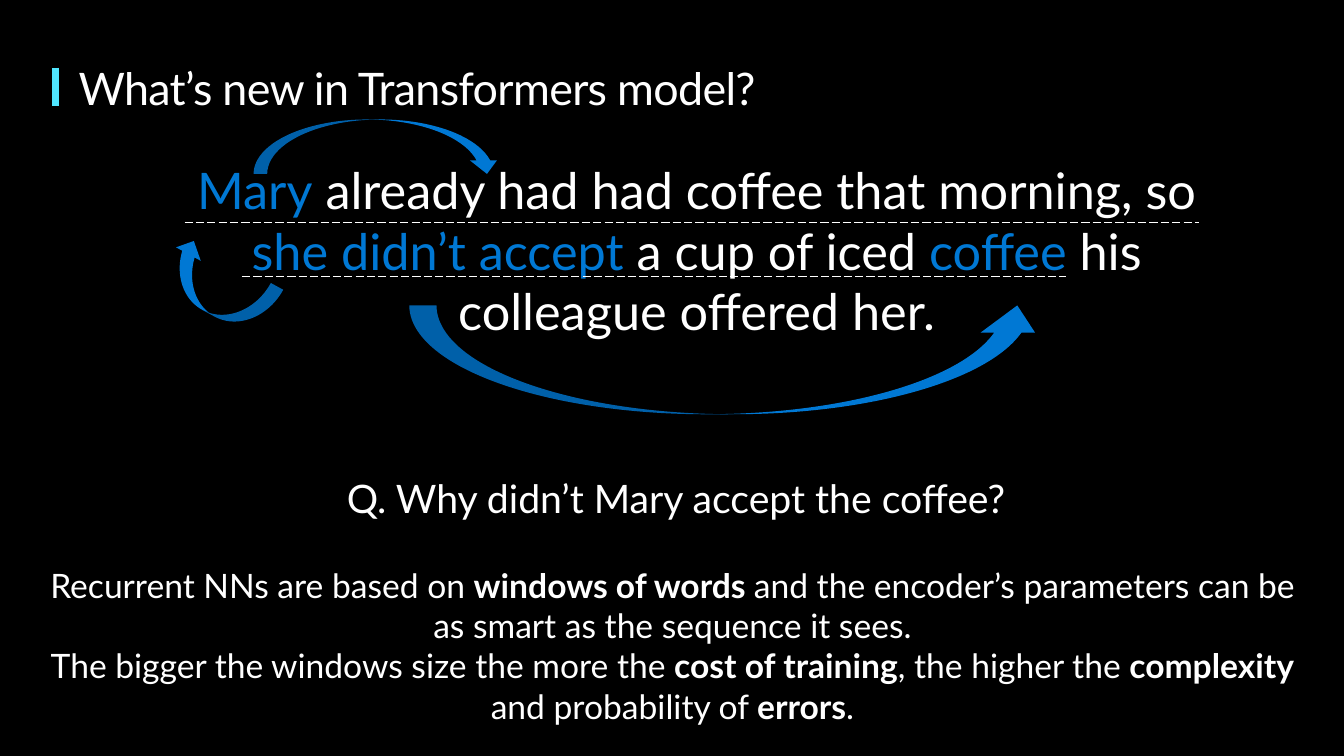
"""Build the slide on what is new in the Transformers model."""
from dataclasses import dataclass

from lxml import etree
from pptx import Presentation
from pptx.dml.color import RGBColor
from pptx.enum import dml, shapes, text
from pptx.oxml import ns
from pptx.util import Inches, Pt


@dataclass(frozen=True)
class Theme:
    """Hold the colours, font and type sizes."""
    font: str = "Lato"
    black: RGBColor = RGBColor(0, 0, 0)
    white: RGBColor = RGBColor(255, 255, 255)
    blue: RGBColor = RGBColor(0, 0x78, 0xD4)
    cyan: RGBColor = RGBColor(0x50, 0xE6, 0xFF)
    title: int = 32
    sentence: int = 36
    question: int = 28
    body: int = 24


THEME = Theme()


def place(item, left, top, width, height):
    """Set the position and size of a shape in inches."""
    item.left, item.top = Inches(left), Inches(top)
    item.width, item.height = Inches(width), Inches(height)


def add_span(para, words, *, size, color=THEME.white, bold=False, spacing=None):
    """Append a formatted run to a paragraph."""
    span = para.add_run()
    span.text = words
    span.font.name = THEME.font
    span.font.size = Pt(size)
    span.font.bold = bold
    span.font.color.rgb = color
    if spacing is not None:
        span.font._element.set("spc", str(round(spacing * 100)))


def fill_text(box, paragraphs, *, size, align=text.PP_ALIGN.LEFT, spacing=None):
    """Fill a box with paragraphs made of (words, format) pairs."""
    frame = box.text_frame
    frame.word_wrap = True
    frame.auto_size = text.MSO_AUTO_SIZE.SHAPE_TO_FIT_TEXT
    frame.vertical_anchor = text.MSO_ANCHOR.TOP
    frame.margin_left = frame.margin_right = 0
    frame.margin_top = frame.margin_bottom = 0
    for index, spans in enumerate(paragraphs):
        para = frame.add_paragraph() if index else frame.paragraphs[0]
        para.alignment = align
        for words, style in spans:
            add_span(para, words, size=size, spacing=spacing, **style)


def add_text(page, bounds, paragraphs, **style):
    """Add a text box at the given bounds."""
    box = page.shapes.add_textbox(*map(Inches, bounds))
    fill_text(box, paragraphs, **style)


def add_line(page, start, end, *, color, width, dash=None):
    """Add a straight line without a shadow."""
    line = page.shapes.add_connector(
        shapes.MSO_CONNECTOR.STRAIGHT, *map(Inches, (*start, *end)))
    line.line.color.rgb = color
    line.line.width = Pt(width)
    if dash is not None:
        line.line.dash_style = dash
    etree.SubElement(line._element.spPr, ns.qn("a:effectLst"))


def add_curved_arrow(page, bounds, *, rotation, flip=False):
    """Add a blue curved arrow that links two words."""
    arrow = page.shapes.add_shape(
        shapes.MSO_SHAPE.CURVED_LEFT_ARROW, *map(Inches, bounds))
    arrow.shadow.inherit = False
    arrow.fill.solid()
    arrow.fill.fore_color.rgb = THEME.blue
    arrow.line.fill.background()
    arrow.rotation = rotation
    if flip:
        arrow._element.spPr.find(ns.qn("a:xfrm")).set("flipH", "1")


def main():
    """Build the deck and save it."""
    deck = Presentation()
    deck.slide_width, deck.slide_height = Inches(13.33), Inches(7.5)
    page = deck.slides.add_slide(deck.slide_layouts.get_by_name("Title Only"))
    page.background.fill.solid()
    page.background.fill.fore_color.rgb = THEME.black
    plain, blue, bold = {}, {"color": THEME.blue}, {"bold": True}
    center = text.PP_ALIGN.CENTER

    title = page.shapes.title
    place(title, 0.78, 0.6, 12.56, 0.54)
    fill_text(title, [[("What’s new in Transformers model?", plain)]],
              size=THEME.title, spacing=-0.5)
    add_line(page, (0.55, 0.67), (0.55, 1.05), color=THEME.cyan, width=4.5)

    add_text(page, (1.53, 1.58, 10.76, 1.82), [[
        ("Mary", blue),
        (" already had had coffee that morning, so ", plain),
        ("she didn’t accept ", blue),
        ("a cup of iced ", plain),
        ("coffee", blue),
        (" his colleague offered her.", plain),
    ]], size=THEME.sentence, align=center)
    add_text(page, (3.44, 4.71, 6.84, 0.47),
             [[("Q. Why didn’t Mary accept the coffee?", plain)]],
             size=THEME.question)

    add_curved_arrow(page, (1.89, 2.27, 0.56, 1.15), rotation=118.6)
    add_curved_arrow(page, (3.47, 0.23, 0.54, 2.45), rotation=270)
    for left, right, top in ((2.4, 10.57, 2.74), (1.83, 11.89, 2.21)):
        add_line(page, (left, top), (right, top), color=THEME.white,
                 width=0.75, dash=dml.MSO_LINE.LONG_DASH)
    add_curved_arrow(page, (6.67, 0.42, 1.08, 6.3), rotation=270, flip=True)

    add_text(page, (0.34, 5.6, 12.66, 1.62), [
        [("Recurrent NNs are based on ", plain),
         ("windows of words ", bold),
         ("and the encoder’s parameters can be as smart as the sequence it sees.",
          plain)],
        [("The bigger the windows size the more the ", plain),
         ("cost of training", bold),
         (", the higher the ", plain),
         ("complexity", bold),
         (" and probability of ", plain),
         ("errors", bold),
         (".", plain)],
    ], size=THEME.body, align=center)
    deck.save("out.pptx")


if __name__ == "__main__":
    main()
